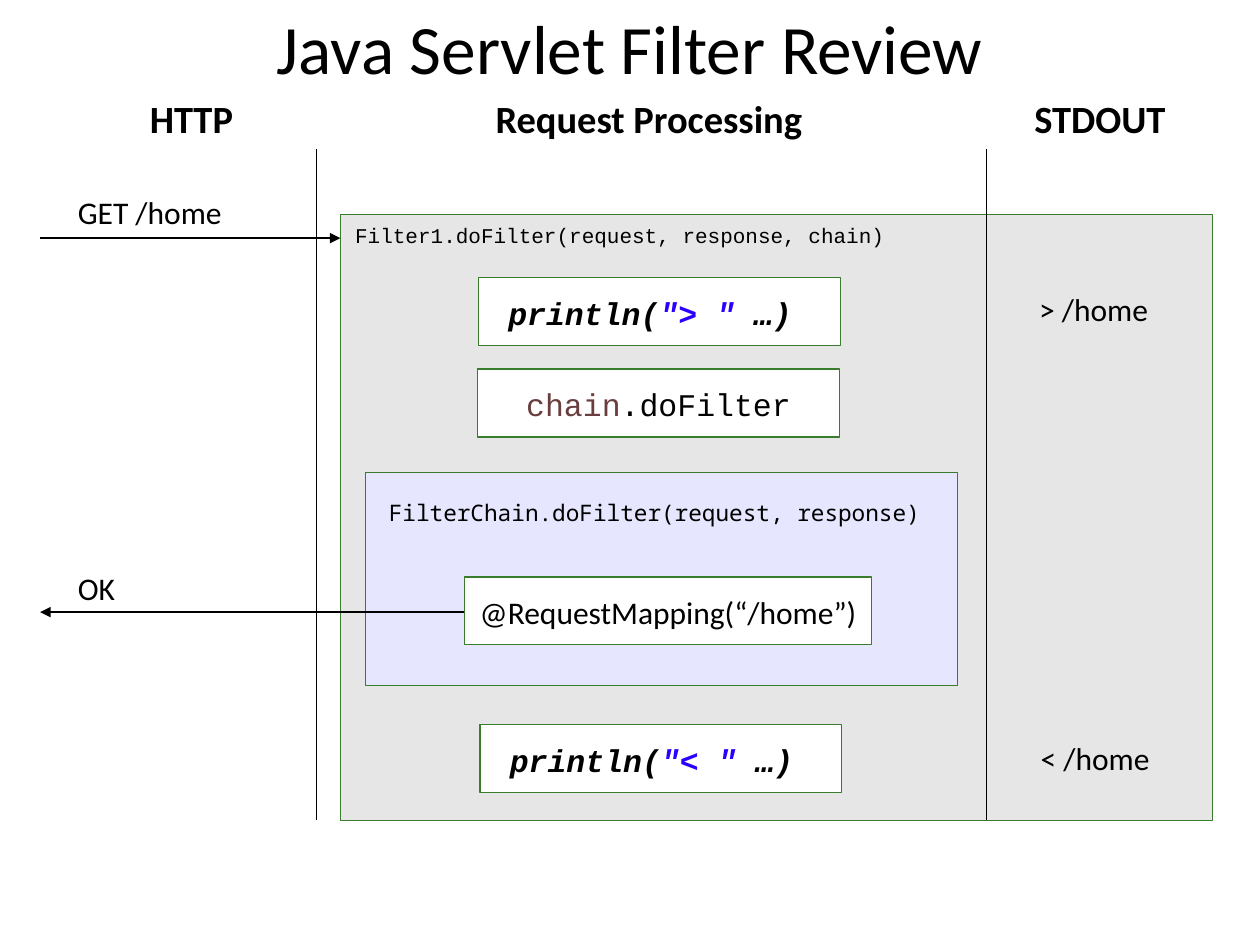
import pptx
import pptx.dml.color
import pptx.enum.shapes
import pptx.enum.text
import pptx.oxml.ns
import pptx.oxml.xmlchemy
import pptx.util

Cm = pptx.util.Cm
Pt = pptx.util.Pt
ALIGN = pptx.enum.text.PP_ALIGN
ANCHOR = pptx.enum.text.MSO_ANCHOR

BLACK, WHITE, GREEN = "000000", "FFFFFF", "387C2C"
GREY, LILAC, BLUE, BROWN = "E6E6E6", "E6E6FF", "2A00FF", "6A3E3E"
SANS, CODE, MONO = "Calibri", "Courier New", "Noto Sans Mono"

TITLE = "Java Servlet Filter Review"
HEADINGS = [("HTTP", 1.32, 5.08), ("Request Processing", 7.62, 10.92), ("STDOUT", 20.27, 3.81)]
PANELS = [((6.86, 4.32, 17.58, 12.22), GREY), ((7.37, 9.53, 11.94, 4.29), LILAC)]
DIVIDERS = [6.38, 19.89]
ARROWS = [((0.81, 4.8), (6.86, 4.8)), ((9.37, 12.34), (0.81, 12.34))]
MESSAGES = [
    ("GET /home", 1.32, 3.71, 5.11),
    ("OK", 1.32, 11.3, 5.11),
    ("> /home", 20.7, 5.66, 2.82),
    ("< /home", 20.73, 14.71, 2.82),
]
SIGNATURES = [
    ("Filter1.doFilter(request, response, chain)", (6.91, 4.37, 12.7, 0.74), CODE, 12, 0.94, 0.15),
    ("FilterChain.doFilter(request, response)", (7.59, 9.96, 11.61, 0.79), MONO, 13, 0.98, 0.13),
]
STEPS = [
    ([("println(", BLACK), ("\"> \"", BLUE), (" …) ", BLACK)], 9.65, 5.59, 7.29, CODE, True),
    ([("chain", BROWN), (".doFilter", BLACK)], 9.63, 7.44, 7.29, CODE, False),
    ([("@RequestMapping(“/home”)", BLACK)], 9.37, 11.63, 8.2, SANS, False),
    ([("println(", BLACK), ("\"< \"", BLUE), (" …) ", BLACK)], 9.68, 14.61, 7.29, CODE, True),
]


def paint(color_format, value):
    color_format.rgb = pptx.dml.color.RGBColor.from_string(value)


def write(frame, pieces, font, size, bold=False, italic=False, align=ALIGN.LEFT,
          anchor=ANCHOR.TOP, wrap=True, top=0.18, spacing=None):
    frame.word_wrap = wrap
    frame.vertical_anchor = anchor
    frame.margin_left = frame.margin_right = Cm(0.25)
    frame.margin_top, frame.margin_bottom = Cm(top), Cm(0.13)
    paragraph = frame.paragraphs[0]
    paragraph.alignment = align
    if spacing:
        paragraph.line_spacing = spacing
    for words, color in pieces:
        run = paragraph.add_run()
        run.text = words
        run.font.name, run.font.size = font, Pt(size)
        run.font.bold, run.font.italic = bold, italic
        paint(run.font.color, color)


def add_box(slide, area, fill):
    box = slide.shapes.add_shape(pptx.enum.shapes.MSO_SHAPE.RECTANGLE, *map(Cm, area))
    box.shadow.inherit = False
    box.fill.solid()
    paint(box.fill.fore_color, fill)
    paint(box.line.color, GREEN)
    box.line.width = Pt(0.75)
    return box


def add_label(slide, area, words, font, size, **style):
    label = slide.shapes.add_textbox(*map(Cm, area))
    write(label.text_frame, [(words, BLACK)], font, size, **style)


def add_line(slide, start, end, arrow=False):
    line = slide.shapes.add_connector(
        pptx.enum.shapes.MSO_CONNECTOR.STRAIGHT, *map(Cm, start + end))
    paint(line.line.color, BLACK)
    line.line.width = Pt(0.75)
    properties = line._element.spPr
    if arrow:
        head = pptx.oxml.xmlchemy.OxmlElement("a:tailEnd")
        head.set("type", "triangle")
        properties.find(pptx.oxml.ns.qn("a:ln")).append(head)
    properties.append(pptx.oxml.xmlchemy.OxmlElement("a:effectLst"))


def main():
    deck = pptx.Presentation()
    deck.slide_width, deck.slide_height = Cm(25.4), Cm(19.05)
    slide = deck.slides.add_slide(deck.slide_layouts[5])

    title = slide.shapes.title
    title.left, title.top, title.width, title.height = map(Cm, (0.84, 0.48, 23.72, 0.91))
    write(title.text_frame, [(TITLE, BLACK)], SANS, 39.6, align=ALIGN.CENTER,
          anchor=ANCHOR.MIDDLE, top=0.13)

    for area, fill in PANELS:
        add_box(slide, area, fill)
    for x in DIVIDERS:
        add_line(slide, (x, 3), (x, 16.54))
    for start, end in ARROWS:
        add_line(slide, start, end, arrow=True)
    for heading, left, width in HEADINGS:
        add_label(slide, (left, 1.8, width, 1.12), heading, SANS, 22, bold=True,
                  align=ALIGN.CENTER, anchor=ANCHOR.MIDDLE)
    for message, left, top, width in MESSAGES:
        add_label(slide, (left, top, width, 0.97), message, SANS, 18)
    for signature, area, font, size, spacing, inset in SIGNATURES:
        add_label(slide, area, signature, font, size, spacing=spacing, top=inset)
    for pieces, left, top, width, font, emphasis in STEPS:
        step = add_box(slide, (left, top, width, 1.37), WHITE)
        write(step.text_frame, pieces, font, 18, bold=emphasis, italic=emphasis,
              align=ALIGN.CENTER, anchor=ANCHOR.MIDDLE, wrap=False)

    deck.save("out.pptx")


if __name__ == "__main__":
    main()
